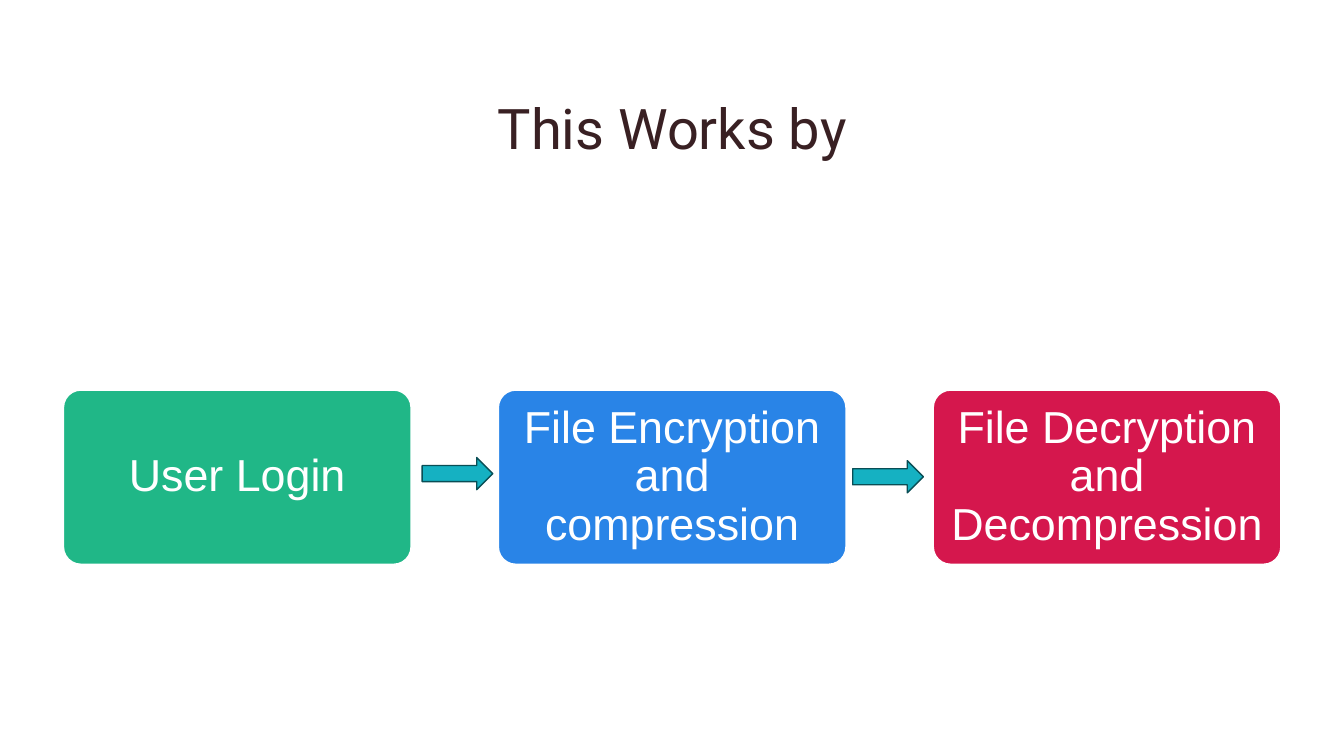
from dataclasses import dataclass
from pptx import Presentation
from pptx.dml.color import RGBColor as RGB
from pptx.enum.shapes import MSO_SHAPE as Kind
from pptx.enum.text import MSO_ANCHOR as Anchor, MSO_AUTO_SIZE as Fit, PP_ALIGN as Align
from pptx.util import Cm, Pt


@dataclass(frozen=True)
class Theme:
    white: str = "FFFFFF"
    ink: str = "392023"
    green: str = "20B787"
    blue: str = "2984E7"
    red: str = "D5174D"
    teal: str = "15B1C2"
    edge: str = "094E55"
    head: int = 40
    body: int = 32


THEME = Theme()

# Step boxes, evenly spaced (cm)
LEFT, TOP, PITCH = 1.6, 9.83, 10.96
WIDE, HIGH = 8.76, 4.39
STEPS = [
    ("User Login", THEME.green),
    ("File Encryption and compression", THEME.blue),
    ("File Decryption and Decompression", THEME.red),
]
ARROWS = [(10.64, 11.53), (21.49, 11.61)]


def write(frame, text, font, size, color):
    """Put one centred run in a text frame."""
    frame.word_wrap = True
    frame.auto_size = Fit.NONE
    frame.vertical_anchor = Anchor.MIDDLE
    para = frame.paragraphs[0]
    para.alignment = Align.CENTER
    para.line_spacing = 0.9
    run = para.add_run()
    run.text = text
    run.font.name = font
    run.font.size = Pt(size)
    run.font.color.rgb = RGB.from_string(color)


def shape(slide, kind, left, top, wide, high, fill, line):
    item = slide.shapes.add_shape(kind, Cm(left), Cm(top), Cm(wide), Cm(high))
    item.shadow.inherit = False
    item.fill.solid()
    item.fill.fore_color.rgb = RGB.from_string(fill)
    item.line.color.rgb = RGB.from_string(line)
    item.line.width = Pt(1)
    return item


def title(slide, text):
    item = slide.shapes.title
    item.left, item.top = Cm(3.96), Cm(1.42)
    item.width, item.height = Cm(25.96), Cm(3.76)
    write(item.text_frame, text, "Roboto", THEME.head, THEME.ink)


def step(slide, index, text, color):
    box = shape(slide, Kind.ROUNDED_RECTANGLE, LEFT + index * PITCH, TOP,
                WIDE, HIGH, color, THEME.white)
    box.adjustments[0] = 0.1
    frame = box.text_frame
    frame.margin_left = frame.margin_right = Cm(0.18)
    frame.margin_top = frame.margin_bottom = Cm(0.1)
    write(frame, text, "Arial", THEME.body, THEME.white)


def arrow(slide, left, top):
    shape(slide, Kind.RIGHT_ARROW, left, top, 1.78, 0.81, THEME.teal, THEME.edge)


def main():
    deck = Presentation()
    deck.slide_width, deck.slide_height = Cm(33.87), Cm(19.05)
    slide = deck.slides.add_slide(deck.slide_layouts[5])

    # Background and title
    back = slide.background.fill
    back.solid()
    back.fore_color.rgb = RGB.from_string(THEME.white)
    title(slide, "This Works by")

    # Process row
    for index, (text, color) in enumerate(STEPS):
        step(slide, index, text, color)
    for left, top in ARROWS:
        arrow(slide, left, top)

    deck.save("out.pptx")


if __name__ == "__main__":
    main()
